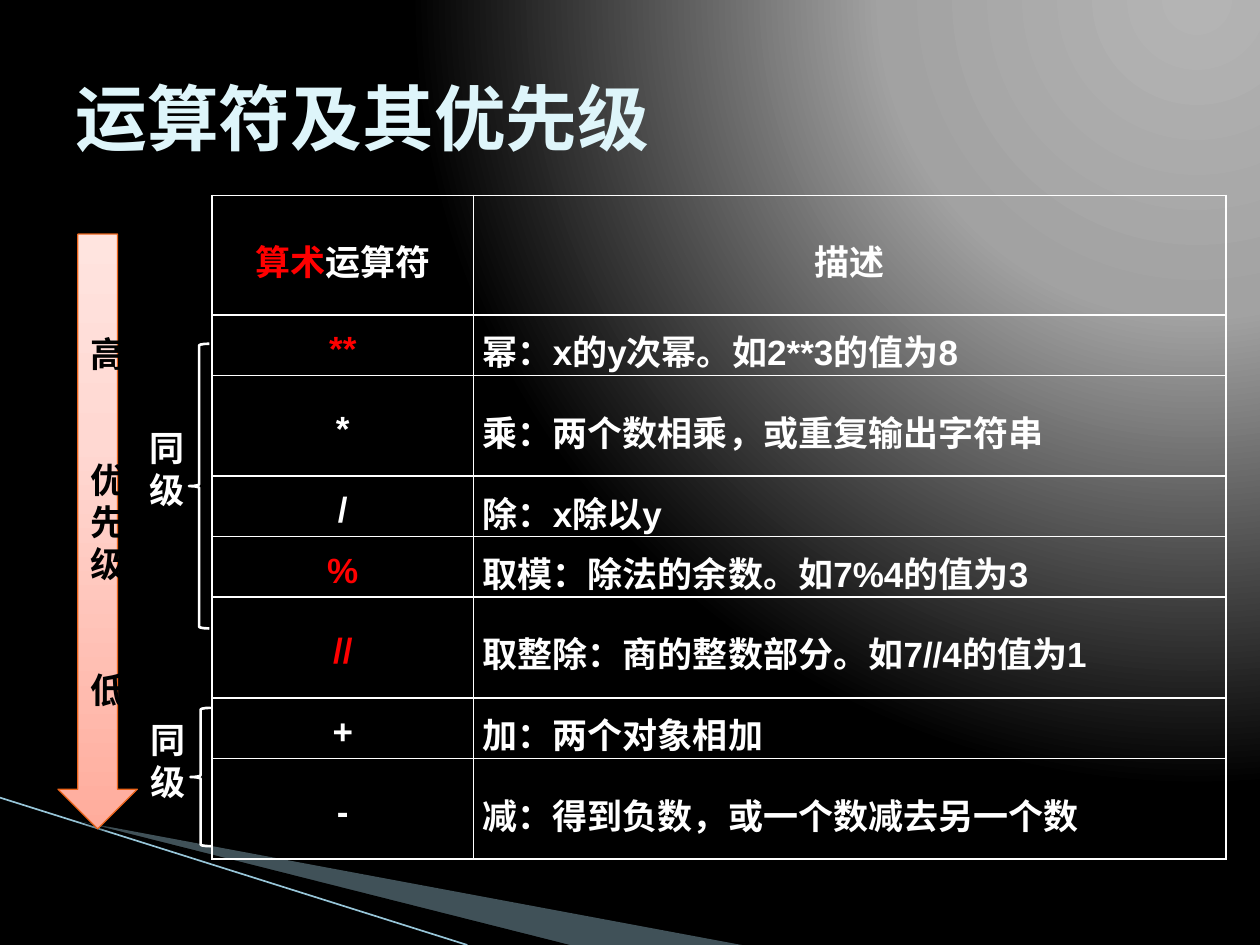
from lxml import etree
from pptx import Presentation
from pptx.dml.color import RGBColor
from pptx.enum.shapes import MSO_CONNECTOR, MSO_SHAPE
from pptx.enum.text import MSO_ANCHOR, PP_ALIGN
from pptx.oxml import parse_xml
from pptx.oxml.ns import nsdecls, qn
from pptx.util import Cm, Pt

ARROW, BRACE = MSO_SHAPE.DOWN_ARROW, MSO_SHAPE.LEFT_BRACE
LINE = MSO_CONNECTOR.STRAIGHT
MID, TOP = MSO_ANCHOR.MIDDLE, MSO_ANCHOR.TOP
LEFT, CENTER = PP_ALIGN.LEFT, PP_ALIGN.CENTER
HEX = {"white": "FFFFFF", "black": "000000", "red": "FF0000",
       "title": "DEF5FA", "wedge": "A0CBDC", "line": "97C5D8",
       "edge": "EB641B"}
GLOW = [(0, "B4B4B4"), (40, "A2A2A2"), (100, "000000")]
PINK = [(0, "FFAC9C"), (65, "FFD8D2"), (100, "FFE4DF")]


def rgb(name):
    return RGBColor.from_string(HEX[name])


def node(xml):
    return parse_xml(xml.replace(">", f" {nsdecls('a')}>", 1))


class Page:
    font, size = "Arial", 20

    def __init__(self, slide):
        self.slide = slide

    def style(self, run, color, size=None, font=None):
        run.font.name, run.font.size = font or self.font, Pt(size or self.size)
        run.font.bold, run.font.color.rgb = True, rgb(color)

    def text(self, frame, lines, color, align=LEFT, gap=0, **look):
        for i, line in enumerate(lines):
            para = frame.add_paragraph() if i else frame.paragraphs[0]
            para.text, para.alignment = line, align
            if i and gap:
                para.space_before = Pt(gap)
            self.style(para.runs[0], color, **look)

    def blend(self, fill, root, stops, aim):
        fill.gradient()
        grad = root.find(".//" + qn("a:gradFill"))
        for child in list(grad):
            grad.remove(child)
        marks = "".join(f'<a:gs pos="{pos * 1000}"><a:srgbClr val="{tone}"/></a:gs>'
                        for pos, tone in stops)
        grad.append(node(f"<a:gsLst>{marks}</a:gsLst>"))
        grad.append(node(aim))

    def box(self, at, lines, color, group=None, anchor=TOP, **look):
        home = group or self.slide
        frame = home.shapes.add_textbox(*map(Cm, at)).text_frame
        frame.word_wrap, frame.vertical_anchor = True, anchor
        self.text(frame, lines, color, **look)

    def wedge(self, points, color, alpha=100):
        spots = [(Cm(x), Cm(y)) for x, y in points]
        form = self.slide.shapes.build_freeform(*spots[0])
        form.add_line_segments(spots[1:], close=True)
        shape = form.convert_to_shape()
        shape.shadow.inherit = False
        shape.fill.solid()
        shape.fill.fore_color.rgb = rgb(color)
        shape.line.fill.background()
        if alpha < 100:
            tone = shape._element.spPr.find(".//" + qn("a:srgbClr"))
            etree.SubElement(tone, qn("a:alpha")).set("val", str(alpha * 1000))

    def rule(self, start, end, color, width):
        line = self.slide.shapes.add_connector(LINE, *map(Cm, start + end))
        line.line.color.rgb, line.line.width = rgb(color), Pt(width)
        etree.SubElement(line._element.spPr, qn("a:effectLst"))

    def shape(self, kind, at, color, width, group=None):
        shape = (group or self.slide).shapes.add_shape(kind, *map(Cm, at))
        shape.shadow.inherit = False
        shape.fill.background()
        shape.line.color.rgb, shape.line.width = rgb(color), Pt(width)
        return shape

    def arrow(self, at, lines):
        shape = self.shape(ARROW, at, "edge", 0.75)
        props = shape._element.spPr
        self.blend(shape.fill, props, PINK,
                   '<a:lin ang="16200000" scaled="0"></a:lin>')
        props.find(qn("a:effectLst")).append(node(
            '<a:outerShdw blurRad="50800" dist="38100" dir="5400000" '
            'rotWithShape="0"><a:srgbClr val="000000"><a:alpha val="35000"/>'
            '</a:srgbClr></a:outerShdw>'))
        frame = shape.text_frame
        frame.word_wrap, frame.vertical_anchor = True, MID
        self.text(frame, lines, "black", CENTER, gap=48)

    def peers(self, brace, label):
        group = self.slide.shapes.add_group_shape()
        self.shape(BRACE, brace, "white", 1.5, group)
        self.box(label, ["同", "级"], "white", group, align=CENTER)

    def cell(self, cell, parts, align):
        cell.fill.background()
        cell.vertical_anchor = MID
        cell.margin_left = cell.margin_right = Cm(0.18)
        cell.margin_top = cell.margin_bottom = 0
        para = cell.text_frame.paragraphs[0]
        para.alignment, para.line_spacing = align, 1.2
        for words, color in parts:
            run = para.add_run()
            run.text = words
            self.style(run, color)
        props = cell._tc.get_or_add_tcPr()
        for i, side in enumerate(("lnL", "lnR", "lnT", "lnB")):
            props.insert(i, node(
                f'<a:{side} w="12700"><a:solidFill><a:srgbClr val="{HEX["white"]}"/>'
                f"</a:solidFill></a:{side}>"))

    def table(self, at, cols, rows, data):
        size = (sum(cols), sum(rows))
        grid = self.slide.shapes.add_table(len(rows), len(cols),
                                           *map(Cm, at + size)).table
        grid.first_row = grid.horz_banding = False
        for col, wide in zip(grid.columns, cols):
            col.width = Cm(wide)
        for r, (high, (sign, note)) in enumerate(zip(rows, data)):
            grid.rows[r].height = Cm(high)
            self.cell(grid.cell(r, 0), sign, CENTER)
            self.cell(grid.cell(r, 1), [(note, "white")], LEFT if r else CENTER)


deck = Presentation()
deck.slide_width, deck.slide_height = Cm(25.4), Cm(19.05)
slide = deck.slides.add_slide(deck.slide_layouts[6])
page = Page(slide)

# Backdrop
page.blend(slide.background.fill, slide._element, GLOW,
           '<a:path path="circle"><a:fillToRect l="95000" t="-106000" '
           'r="5000" b="206000"/></a:path>')
page.wedge([(1.4, 16.52), (15.11, 19.08), (11.58, 19.08)], "wedge", 40)
page.wedge([(1.35, 16.49), (11.6, 19.08), (9.45, 19.1)], "black")
page.rule((0, 16.08), (9.42, 19.05), "line", 0.95)

# Title
page.box((1.27, 0.76, 22.86, 3.18), ["运算符及其优先级"], "title",
         anchor=MID, size=41, font="Noto Sans Mono")

# Operators
low, high = 1.22, 2.03
page.table((4.27, 3.94), (5.28, 15.16),
           (2.41, low, high, low, low, high, low, high), [
    ([("算术", "red"), ("运算符", "white")], "描述"),
    ([("**", "red")], "幂：x的y次幂。如2**3的值为8"),
    ([("*", "white")], "乘：两个数相乘，或重复输出字符串"),
    ([("/", "white")], "除：x除以y"),
    ([("%", "red")], "取模：除法的余数。如7%4的值为3"),
    ([("//", "red")], "取整除：商的整数部分。如7//4的值为1"),
    ([("+", "white")], "加：两个对象相加"),
    ([("-", "white")], "减：得到负数，或一个数减去另一个数")])

# Priority
page.arrow((1.17, 4.72, 1.6, 11.99), ["高", "优先级", "低"])
page.peers((3.81, 6.93, 0.41, 5.74), (2.77, 8.48, 1.17, 1.96))
page.peers((3.84, 14.27, 0.41, 2.79), (2.79, 14.35, 1.17, 1.96))

deck.save("out.pptx")
